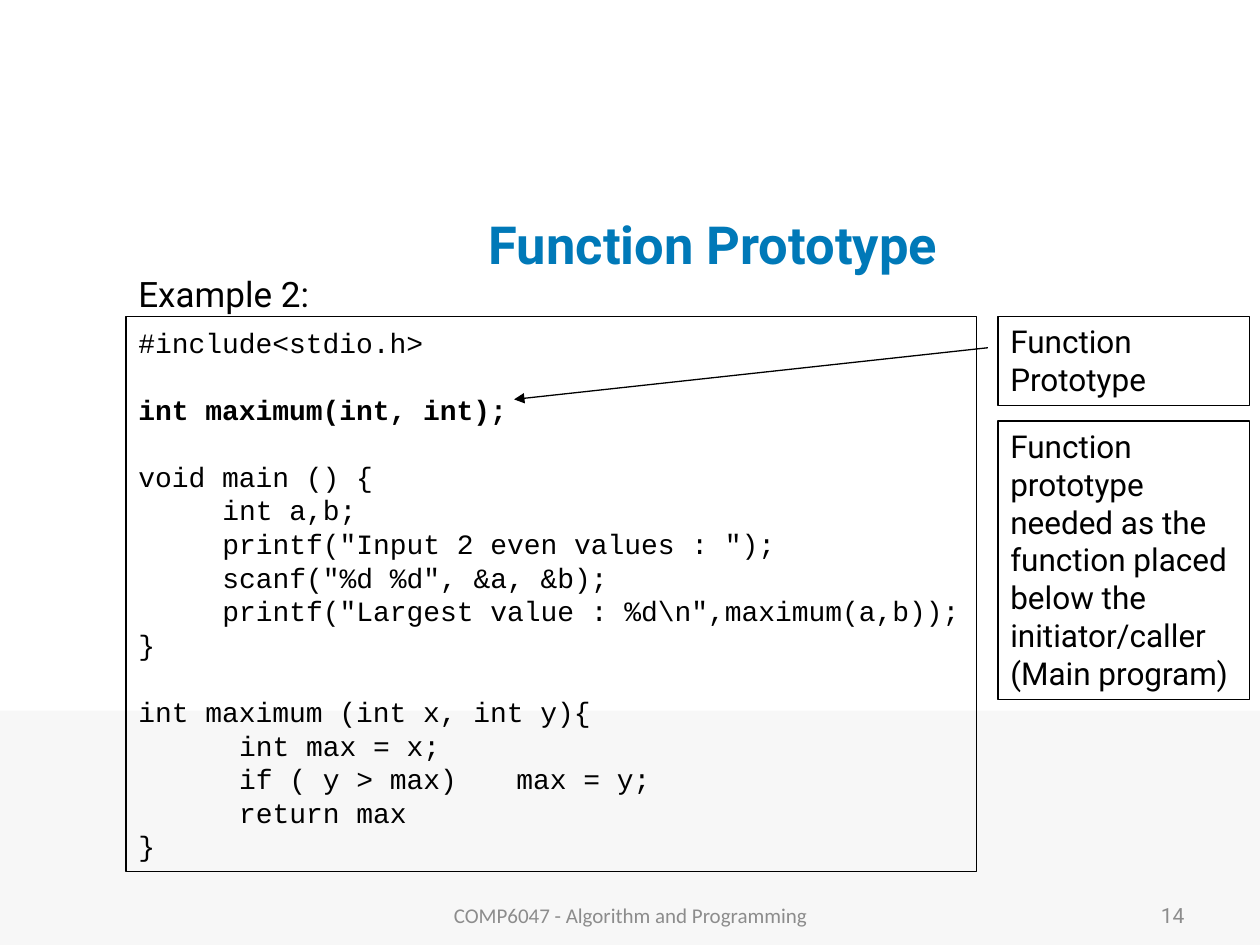
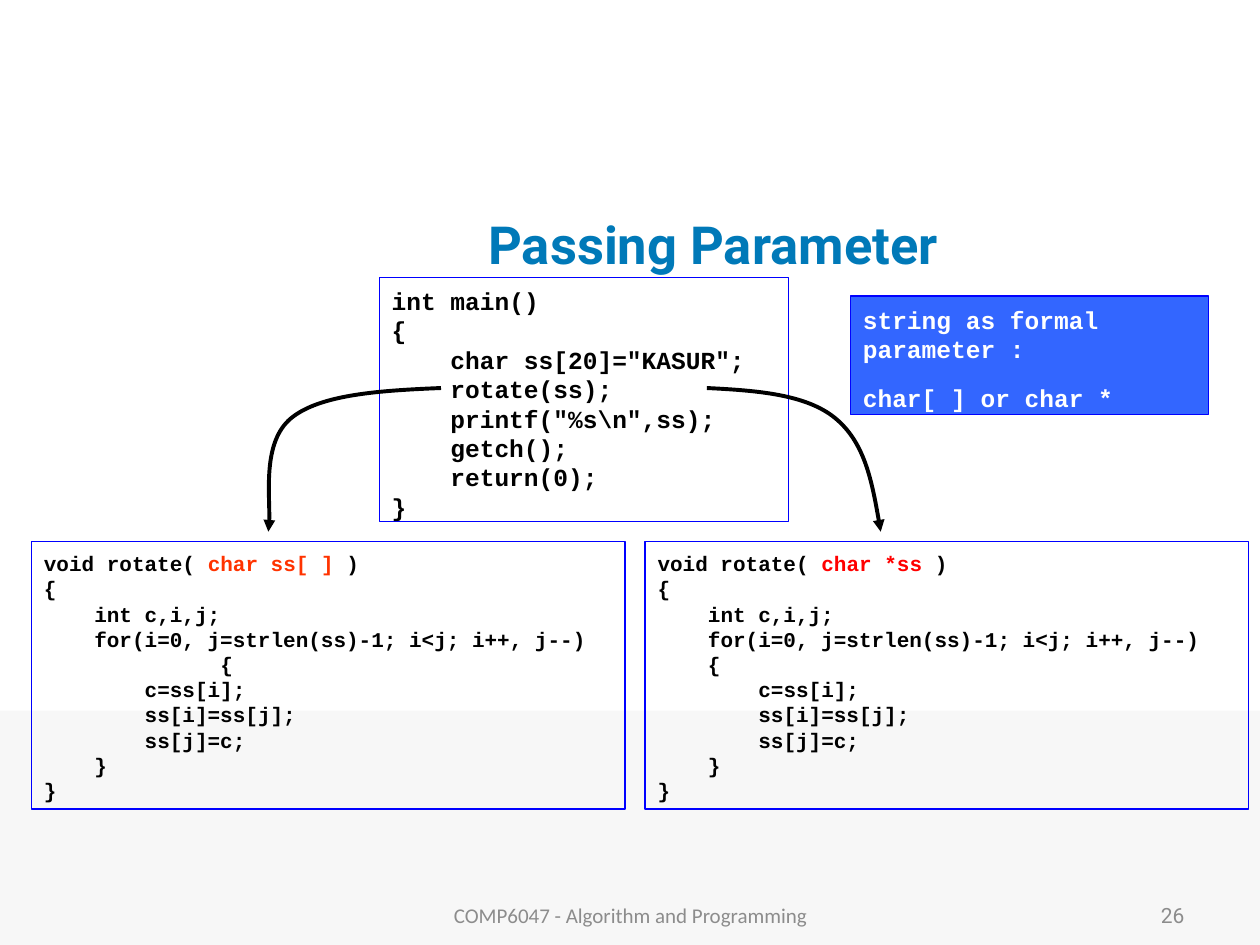
from lxml.etree import SubElement
from pptx import Presentation
from pptx.dml.color import RGBColor
from pptx.enum.shapes import MSO_CONNECTOR, MSO_SHAPE
from pptx.enum.text import MSO_ANCHOR, PP_ALIGN
from pptx.oxml.ns import qn
from pptx.util import Inches, Pt

# Shared style
color = RGBColor.from_string
BLACK, WHITE, GREY, BAND = "000000", "FFFFFF", "8C8C8C", "F7F7F7"
TITLE_BLUE, OUTLINE_BLUE, NOTE_BLUE = "0079B8", "0000FF", "3366FF"
TEXT_FONT, CODE_FONT, FOOTER_FONT = "Roboto", "Courier New", "Calibri"
COURSE = "COMP6047 - Algorithm and Programming"


def add_text_box(slide, place, lines, size, font=CODE_FONT, ink=BLACK, bold=False,
                 outline=None, fill=None, gap=0, accent=None,
                 align=PP_ALIGN.LEFT, anchor=MSO_ANCHOR.TOP):
    """Leading spaces become indents; an empty line becomes space before the next."""
    place = [Inches(value) for value in place]
    if outline:
        box = slide.shapes.add_shape(MSO_SHAPE.RECTANGLE, *place)
        box.shadow.inherit = False
        box.line.color.rgb = color(outline)
        box.line.width = Pt(0.75)
    else:
        box = slide.shapes.add_textbox(*place)
    if fill:
        box.fill.solid()
        box.fill.fore_color.rgb = color(fill)
    else:
        box.fill.background()
    frame = box.text_frame
    frame.word_wrap = True
    frame.vertical_anchor = anchor
    frame.margin_top = Inches(0.07 if font == CODE_FONT else 0.05)

    pitch, space, para = 1.2 * size, 0, None
    for line in lines:
        if not line:
            space += pitch
            continue
        para = frame.add_paragraph() if para else frame.paragraphs[0]
        para.alignment = align
        para.line_spacing = Pt(pitch)
        para.space_before = Pt(space)
        para.font.size, para.font.name, para.font.bold = Pt(size), font, bold
        para.font.color.rgb = color(ink)
        text = line.lstrip(" ")
        properties = para._p.get_or_add_pPr()
        properties.set("marL", "0")
        properties.set("indent", str(Pt((len(line) - len(text)) * 0.6 * size)))
        if "\t" in text:
            stops = properties.makeelement(qn("a:tabLst"))
            SubElement(stops, qn("a:tab"), pos=str(Inches(3)), algn="l")
            properties.find(qn("a:defRPr")).addprevious(stops)
        if accent and accent[0] in text:
            before, marked, after = text.partition(accent[0])
            para.add_run().text = before
            span = para.add_run()
            span.text = marked
            span.font.color.rgb = color(accent[1])
            para.add_run().text = after
        else:
            para.add_run().text = text
        space = gap
    return box


def style_arrow(arrow, width):
    arrow.line.color.rgb = color(BLACK)
    arrow.line.width = Pt(width)
    properties = arrow.element.spPr
    SubElement(properties.find(qn("a:ln")), qn("a:tailEnd"), type="triangle")
    if properties.find(qn("a:effectLst")) is None:
        SubElement(properties, qn("a:effectLst"))


deck = Presentation()
deck.slide_width, deck.slide_height = Inches(10), Inches(7.5)

# Titles and footers
slides = []
for heading, number in (("Function Prototype", "14"), ("Passing Parameter", "26")):
    slide = deck.slides.add_slide(deck.slide_layouts[5])
    slides.append(slide)
    title = slide.shapes.title
    title.left, title.top = Inches(1.92), Inches(1.5)
    title.width, title.height = Inches(7.48), Inches(0.87)
    title.text_frame.text = heading
    title.text_frame.vertical_anchor = MSO_ANCHOR.MIDDLE
    para = title.text_frame.paragraphs[0]
    para.alignment = PP_ALIGN.CENTER
    para.font.size, para.font.name, para.font.bold = Pt(30), TEXT_FONT, True
    para.font.color.rgb = color(TITLE_BLUE)
    add_text_box(slide, (7.17, 7.06, 2.33, 0.4), [number], 12, TEXT_FONT, GREY,
                 align=PP_ALIGN.RIGHT, anchor=MSO_ANCHOR.MIDDLE)
    add_text_box(slide, (3.42, 7.06, 3.17, 0.4), [COURSE], 12, FOOTER_FONT, GREY,
                 align=PP_ALIGN.CENTER, anchor=MSO_ANCHOR.MIDDLE)
prototype, passing = slides

# Grey band, moved to the master so that both slides share it
band = prototype.shapes.add_shape(MSO_SHAPE.RECTANGLE, 0, Inches(5.64),
                                  Inches(10), Inches(1.86))
band.shadow.inherit = False
band.fill.solid()
band.fill.fore_color.rgb = color(BAND)
band.line.fill.background()
deck.slide_master.element.cSld.spTree.insert(2, band.element)

# Function Prototype: program listing
add_text_box(prototype, (1, 2.11, 4, 0.4), ["Example 2:"], 20, TEXT_FONT)
program = r"""#include<stdio.h>

int maximum(int, int);

void main () {
     int a,b;
     printf("Input 2 even values : ");
     scanf("%d %d", &a, &b);
     printf("Largest value : %d\n",maximum(a,b));
}

int maximum (int x, int y){
      int max = x;
      if ( y > max)	max = y;
      return max
}""".split("\n")
listing = add_text_box(prototype, (1, 2.51, 6.75, 4.41), program, 16, outline=BLACK)
listing.text_frame.paragraphs[1].font.bold = True

# Function Prototype: notes and pointer
for top, height, note in (
    (2.51, 0.71, "Function Prototype"),
    (3.34, 2.21, "Function prototype needed as the function placed below the "
                 "initiator/caller (Main program)"),
):
    add_text_box(prototype, (7.92, top, 2, height), [note], 18, TEXT_FONT, outline=BLACK)
pointer = prototype.shapes.add_connector(
    MSO_CONNECTOR.STRAIGHT, Inches(7.84), Inches(2.76), Inches(4.08), Inches(3.17))
style_arrow(pointer, 0.75)

# Passing Parameter: two versions of rotate
for left, width, parameter, ink, brace_indent in (
    (0.25, 4.71, "char ss[ ]", "FF3300", 14),
    (5.12, 4.79, "char *ss", "FF0000", 4),
):
    rotate = [
        f"void rotate( {parameter} )",
        "{",
        "    int c,i,j;",
        "    for(i=0, j=strlen(ss)-1; i<j; i++, j--)",
        " " * brace_indent + "{",
        "        c=ss[i];",
        "        ss[i]=ss[j];",
        "        ss[j]=c;",
        "    }",
        "}",
    ]
    add_text_box(passing, (left, 4.3, width, 2.12), rotate, 12, bold=True,
                 outline=OUTLINE_BLUE, accent=(parameter, ink))

# Passing Parameter: caller and note
caller = r"""int main()
{
    char ss[20]="KASUR";
    rotate(ss);
    printf("%s\n",ss);
    getch();
    return(0);
}""".split("\n")
add_text_box(passing, (3.01, 2.2, 3.25, 1.94), caller, 14, bold=True,
             outline=OUTLINE_BLUE)
add_text_box(passing, (6.75, 2.35, 2.84, 0.94),
             ["string as formal parameter :", "char[ ] or char *"], 14, ink=WHITE,
             bold=True, outline=OUTLINE_BLUE, fill=NOTE_BLUE, gap=11.2)

# Passing Parameter: curved arrows, each two Bézier pieces of three points
for start, *points in (
    ((3.5, 3.08), (3.02, 3.1), (2.54, 3.13), (2.31, 3.32),
     (2.08, 3.51), (2.16, 4.07), (2.13, 4.22)),
    ((5.61, 3.08), (6.01, 3.1), (6.4, 3.13), (6.63, 3.32),
     (6.86, 3.51), (6.93, 3.86), (6.99, 4.22)),
):
    outline = passing.shapes.build_freeform(Inches(start[0]), Inches(start[1]))
    outline.add_line_segments([(Inches(x), Inches(y)) for x, y in points], close=False)
    curve = outline.convert_to_shape()
    curve.shadow.inherit = False
    curve.fill.background()
    route = curve.element.find(".//" + qn("a:path"))
    segments = route.findall(qn("a:lnTo"))
    for first in (0, 3):
        bezier = SubElement(route, qn("a:cubicBezTo"))
        for segment in segments[first:first + 3]:
            bezier.append(segment[0])
            route.remove(segment)
    style_arrow(curve, 2.25)

deck.save("out.pptx")
